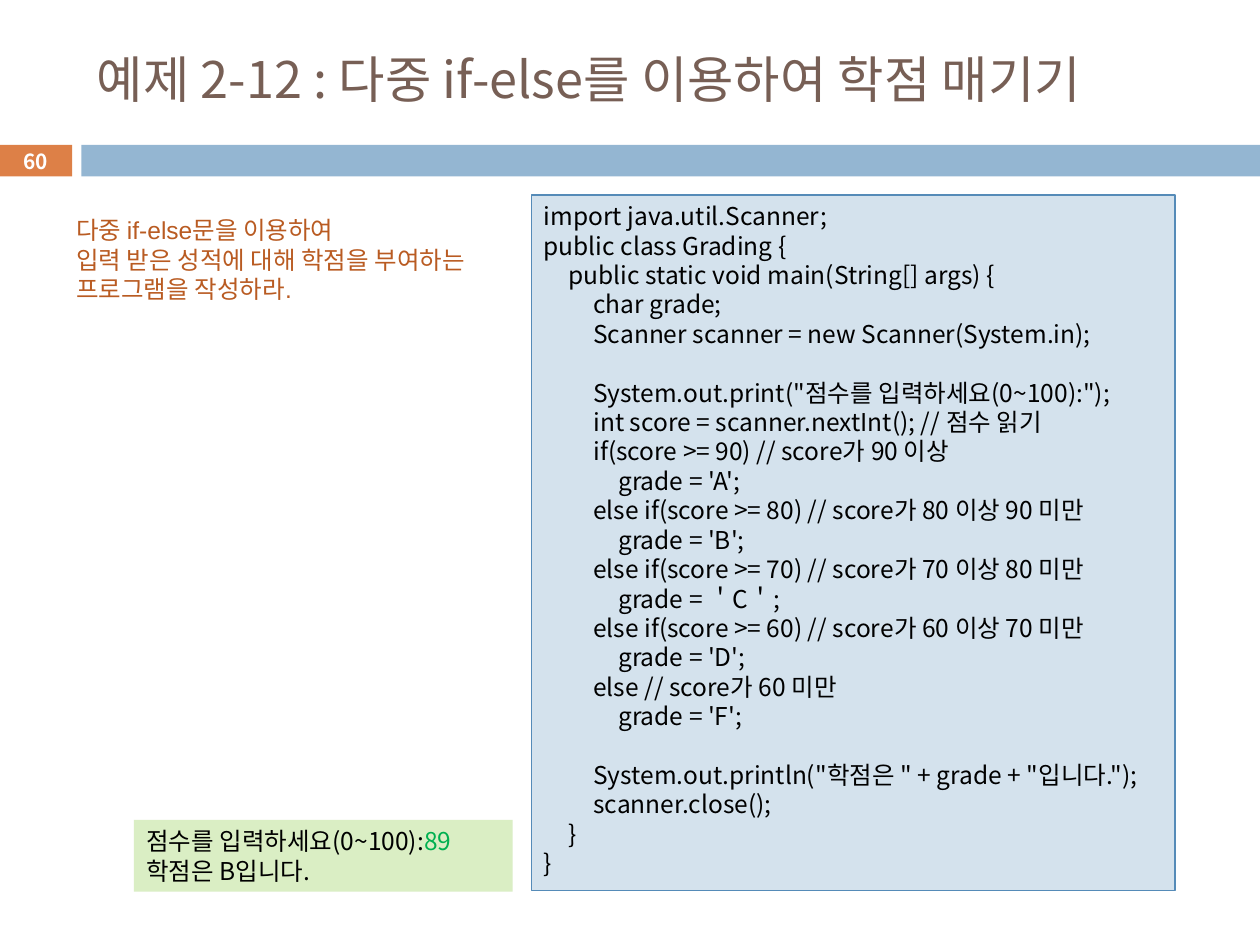
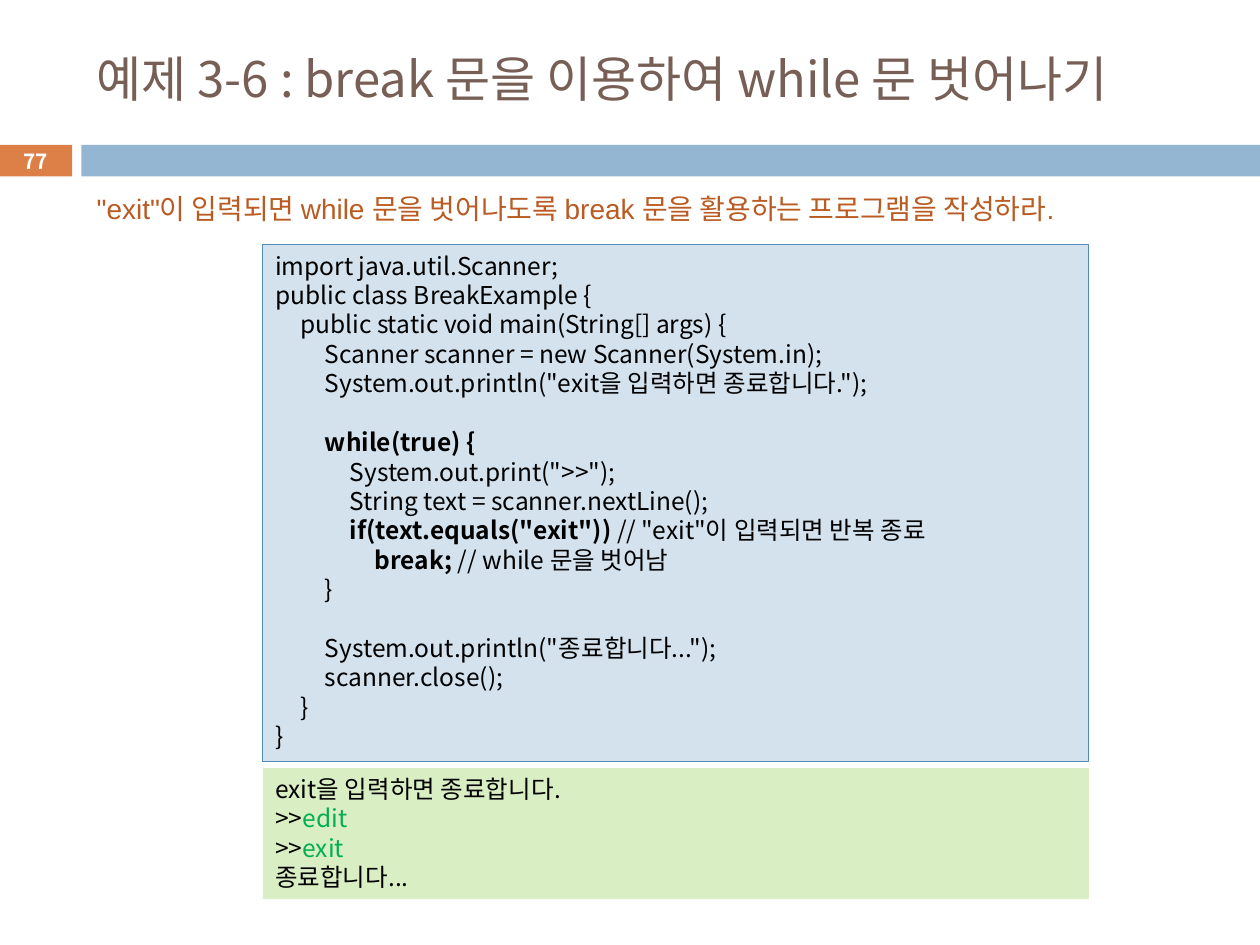
from lxml import etree
from pptx import Presentation
from pptx.dml.color import RGBColor
from pptx.enum.shapes import MSO_SHAPE
from pptx.enum.text import MSO_ANCHOR, PP_ALIGN
from pptx.oxml.ns import qn
from pptx.util import Pt

RECTANGLE = MSO_SHAPE.RECTANGLE
MIDDLE, TOP = MSO_ANCHOR.MIDDLE, MSO_ANCHOR.TOP
LEFT, CENTER = PP_ALIGN.LEFT, PP_ALIGN.CENTER

BLACK, WHITE = "000000", "FFFFFF"
TITLE_BROWN, TASK_ORANGE = "775F55", "B95B22"
NUMBER_FILL, BAND_FILL = "DD8047", "94B6D2"
CODE_FILL, CODE_LINE = "D4E2ED", "558BB8"
OUTPUT_FILL, INPUT_GREEN = "DAEEC4", "00B050"
KOREAN_FONT, TASK_FONT = "Noto Sans CJK KR", "Arial"
CODE_SIZE = 14
LINE_RATIO = 1.2
TAB_STEP = 14.2
EMPHASIS = "|"

GRADING_CODE = """import java.util.Scanner;
public class Grading {
\tpublic static void main(String[] args) {
\t\tchar grade;
\t\tScanner scanner = new Scanner(System.in);

\t\tSystem.out.print("점수를 입력하세요(0~100):");
\t\tint score = scanner.nextInt(); // 점수 읽기
\t\tif(score >= 90) // score가 90 이상
\t\t\tgrade = 'A';
\t\telse if(score >= 80) // score가 80 이상 90 미만
\t\t\tgrade = 'B';
\t\telse if(score >= 70) // score가 70 이상 80 미만
\t\t\tgrade = ＇C＇;
\t\telse if(score >= 60) // score가 60 이상 70 미만
\t\t\tgrade = 'D';
\t\telse // score가 60 미만
\t\t\tgrade = 'F';

\t\tSystem.out.println("학점은 " + grade + "입니다.");
\t\tscanner.close();
\t}
}"""

BREAK_CODE = """import java.util.Scanner;
public class BreakExample {
\tpublic static void main(String[] args) {
\t\tScanner scanner = new Scanner(System.in);
\t\tSystem.out.println("exit을 입력하면 종료합니다.");

\t\t|while(true) {|
\t\t\tSystem.out.print(">>");
\t\t\tString text = scanner.nextLine();
\t\t\t|if(text.equals("exit")) |// "exit"이 입력되면 반복 종료
\t\t\t\t|break; |// while 문을 벗어남
\t\t}

\t\tSystem.out.println("종료합니다...");
\t\tscanner.close();
\t}
}"""

GRADING_TASK = """다중 if-else문을 이용하여
입력 받은 성적에 대해 학점을 부여하는 프로그램을 작성하라."""
BREAK_TASK = '"exit"이 입력되면 while 문을 벗어나도록 break 문을 활용하는 프로그램을 작성하라.'

GRADING_OUTPUT = """점수를 입력하세요(0~100):|89|
학점은 B입니다."""
BREAK_OUTPUT = """exit을 입력하면 종료합니다.
>>|edit|
>>|exit|
종료합니다..."""


def color(value):
    """Turn a hex string into a colour."""
    return RGBColor.from_string(value)


def add_panel(slide, box, fill, line=None):
    """Add a flat rectangle in a box of points."""
    shape = slide.shapes.add_shape(RECTANGLE, *map(Pt, box))
    shape.shadow.inherit = False
    shape.fill.solid()
    shape.fill.fore_color.rgb = color(fill)
    if line:
        shape.line.color.rgb = color(line)
        shape.line.width = Pt(0.75)
    else:
        shape.line.fill.background()
    return shape


def add_tab_stops(paragraph):
    """Give a paragraph evenly spaced tab stops."""
    properties = paragraph._p.get_or_add_pPr()
    tab_list = etree.SubElement(properties, qn("a:tabLst"))
    for level in range(1, 5):
        etree.SubElement(tab_list, qn("a:tab"), pos=str(Pt(level * TAB_STEP)), algn="l")


def style_paragraph(paragraph, size, text_color, font_name, bold):
    """Set the font of a paragraph for Latin and Korean text."""
    font = paragraph.font
    font.size = Pt(size)
    font.bold = bold
    font.name = font_name
    font.color.rgb = color(text_color)
    etree.SubElement(font._element, qn("a:ea"), typeface=KOREAN_FONT)


def write_text(shape, text, size, text_color=BLACK, font_name=KOREAN_FONT, bold=False,
               anchor=TOP, align=LEFT, wrap=True, emphasis_color=None, tabs=False):
    """Write lines into a shape, emphasising the marked pieces."""
    frame = shape.text_frame
    frame.word_wrap = wrap
    frame.vertical_anchor = anchor
    paragraph, gap = frame.paragraphs[0], 0
    for number, line in enumerate(text.split("\n")):
        if not line:
            gap += size * LINE_RATIO
            continue
        if number:
            paragraph = frame.add_paragraph()
        paragraph.alignment = align
        if anchor == TOP:
            paragraph.line_spacing = Pt(size * LINE_RATIO)
        if gap:
            paragraph.space_before = Pt(gap)
            gap = 0
        if tabs:
            add_tab_stops(paragraph)
        style_paragraph(paragraph, size, text_color, font_name, bold)
        for index, piece in enumerate(line.split(EMPHASIS)):
            if not piece:
                continue
            run = paragraph.add_run()
            run.text = piece
            if index % 2 and emphasis_color:
                run.font.color.rgb = color(emphasis_color)
            elif index % 2:
                run.font.bold = True


def add_header(slide, title, title_size, page_number):
    """Add the title, the band and the page number."""
    title_box = slide.shapes.add_textbox(Pt(48.2), Pt(18), Pt(642.2), Pt(53.3))
    write_text(title_box, title, title_size, TITLE_BROWN, anchor=MIDDLE)
    add_panel(slide, (46.5, 82.8, 673.5, 18), BAND_FILL)
    number_panel = add_panel(slide, (-0.5, 82.8, 41.7, 18), NUMBER_FILL)
    write_text(number_panel, page_number, 11.9, WHITE, bold=True, anchor=MIDDLE, align=CENTER)


def add_task(slide, box, text, size, wrap=True):
    """Add the statement of the exercise."""
    shape = slide.shapes.add_textbox(*map(Pt, box))
    write_text(shape, text, size, TASK_ORANGE, TASK_FONT, wrap=wrap)


def add_code(slide, box, code):
    """Add the panel with the source code."""
    shape = add_panel(slide, box, CODE_FILL, CODE_LINE)
    shape.text_frame.margin_right = 0
    write_text(shape, code, CODE_SIZE, tabs=True)


def add_output(slide, box, text):
    """Add the panel with the console output and typed input."""
    shape = add_panel(slide, box, OUTPUT_FILL)
    write_text(shape, text, CODE_SIZE, emphasis_color=INPUT_GREEN)


def build_grading_slide(slide):
    """Build the grading example."""
    add_header(slide, "예제 2-12 : 다중 if-else를 이용하여 학점 매기기", 28.8, "60")
    add_code(slide, (303.6, 111.4, 367.8, 397.4), GRADING_CODE)
    add_task(slide, (36.5, 119.5, 249, 58.3), GRADING_TASK, 14)
    add_output(slide, (76.5, 468.6, 216.5, 41), GRADING_OUTPUT)


def build_break_slide(slide):
    """Build the break example."""
    add_header(slide, "예제 3-6 : break 문을 이용하여 while 문 벗어나기", 28, "77")
    add_task(slide, (48.2, 105.8, 628.5, 26.6), BREAK_TASK, 16, wrap=False)
    add_code(slide, (150.2, 139.7, 471.8, 295.6), BREAK_CODE)
    add_output(slide, (150.2, 438.8, 472, 75), BREAK_OUTPUT)


def main():
    """Build and save the presentation."""
    presentation = Presentation()
    presentation.slide_width, presentation.slide_height = Pt(720), Pt(540)
    blank = presentation.slide_layouts[6]
    for build in (build_grading_slide, build_break_slide):
        build(presentation.slides.add_slide(blank))
    presentation.save("out.pptx")


if __name__ == "__main__":
    main()
